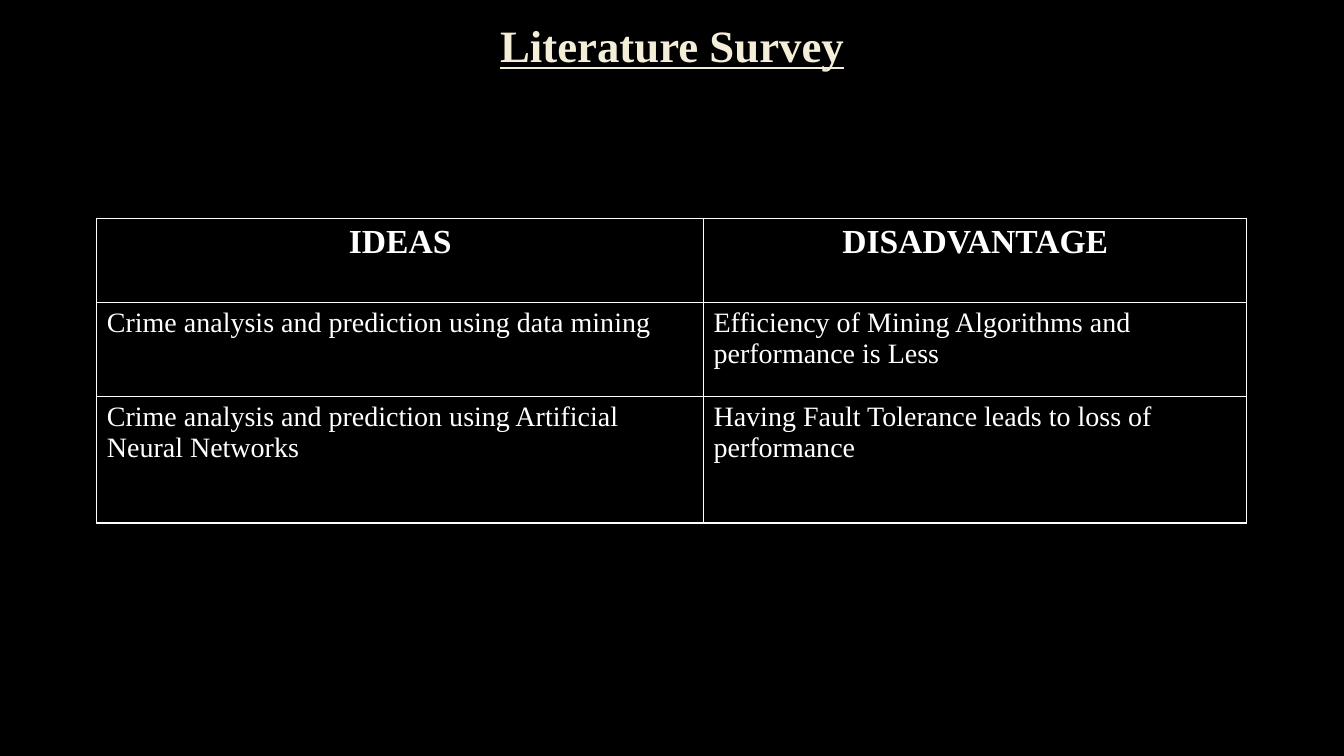
"""Build the literature survey slide with its table of ideas and disadvantages."""
import lxml.etree
import pptx
import pptx.dml.color
import pptx.enum.text
import pptx.oxml.ns
import pptx.util

TITLE = "Literature Survey"
ROWS = [
    ("IDEAS", "DISADVANTAGE"),
    ("Crime analysis and prediction using data mining",
     "Efficiency of Mining Algorithms and performance is Less"),
    ("Crime analysis and prediction using Artificial Neural Networks",
     "Having Fault Tolerance leads to loss of performance"),
]
SLIDE_SIZE = (960, 540)
TITLE_BOX = (72.7, 0, 815, 69)
TABLE_ORIGIN = (69.1, 156.2)
COLUMN_WIDTHS = (433.4, 388.1)
ROW_HEIGHTS = (59.8, 67, 90.7)

THEME = {
    "font": "Times New Roman",
    "background": "000000",
    "title": "F4EDD8",
    "text": "FFFFFF",
    "border": "FFFFFF",
    "border_width": 1,
    "title_size": 32,
    "header_size": 24,
    "body_size": 20,
}
Pt = pptx.util.Pt
ALIGN = pptx.enum.text.PP_ALIGN
ANCHOR = pptx.enum.text.MSO_ANCHOR


def paint(fill, color):
    fill.solid()
    fill.fore_color.rgb = pptx.dml.color.RGBColor.from_string(color)


def write(frame, text, align, color, **formats):
    para = frame.paragraphs[0]
    para.alignment = align
    span = para.add_run()
    span.text = text
    for name, value in {"name": THEME["font"], **formats}.items():
        setattr(span.font, name, value)
    span.font.color.rgb = pptx.dml.color.RGBColor.from_string(color)
    return para


def add_borders(cell):
    qn = pptx.oxml.ns.qn
    properties = cell._tc.get_or_add_tcPr()
    for index, side in enumerate(("lnL", "lnR", "lnT", "lnB")):
        line = lxml.etree.Element(qn(f"a:{side}"), w=str(Pt(THEME["border_width"])))
        fill = lxml.etree.SubElement(line, qn("a:solidFill"))
        lxml.etree.SubElement(fill, qn("a:srgbClr"), val=THEME["border"])
        properties.insert(index, line)


def add_title(page):
    box = page.shapes.title
    for name, value in zip(("left", "top", "width", "height"), TITLE_BOX):
        setattr(box, name, Pt(value))
    box.text_frame.vertical_anchor = ANCHOR.MIDDLE
    para = write(box.text_frame, TITLE, ALIGN.CENTER, THEME["title"],
                 size=Pt(THEME["title_size"]), bold=True, underline=True)
    para.line_spacing = 0.9


def add_survey_table(page):
    bounds = (*TABLE_ORIGIN, sum(COLUMN_WIDTHS), sum(ROW_HEIGHTS))
    table = page.shapes.add_table(len(ROWS), len(COLUMN_WIDTHS), *map(Pt, bounds)).table
    table.horz_banding = False
    for column, width in zip(table.columns, COLUMN_WIDTHS):
        column.width = Pt(width)
    for row, height, texts in zip(table.rows, ROW_HEIGHTS, ROWS):
        row.height = Pt(height)
        header = texts is ROWS[0]
        size = THEME["header_size" if header else "body_size"]
        align = ALIGN.CENTER if header else ALIGN.LEFT
        for cell, text in zip(row.cells, texts):
            paint(cell.fill, THEME["background"])
            add_borders(cell)
            write(cell.text_frame, text, align, THEME["text"], size=Pt(size), bold=header)


def main():
    deck = pptx.Presentation()
    deck.slide_width, deck.slide_height = map(Pt, SLIDE_SIZE)
    page = deck.slides.add_slide(deck.slide_layouts.get_by_name("Title Only"))
    paint(page.background.fill, THEME["background"])
    add_title(page)
    add_survey_table(page)
    deck.save("out.pptx")


if __name__ == "__main__":
    main()
